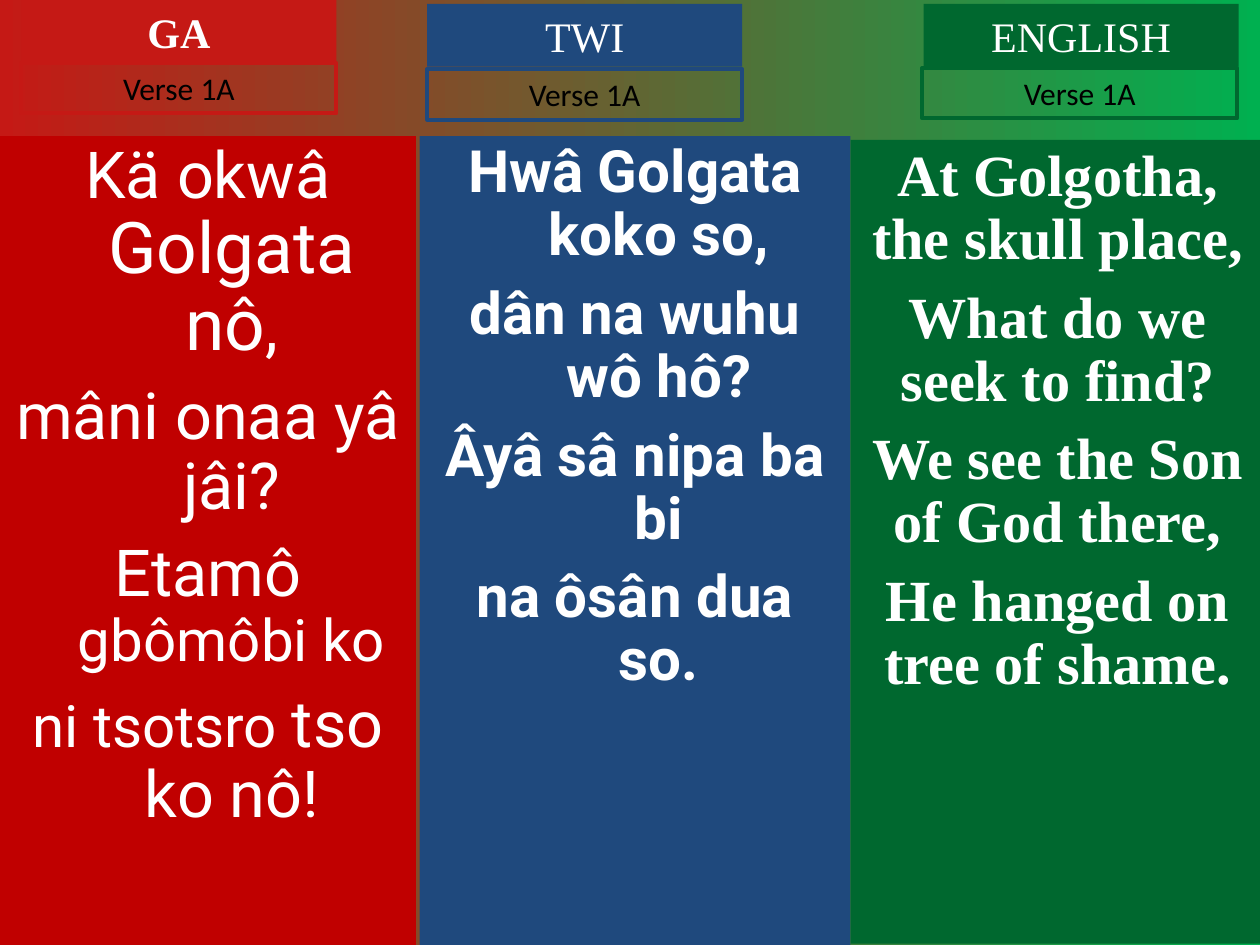
from pptx import Presentation
from pptx.dml.color import RGBColor as RGB
from pptx.enum.text import MSO_ANCHOR as Anchor, MSO_AUTO_SIZE as AutoSize, PP_ALIGN as Align
from pptx.oxml.ns import qn
from pptx.util import Inches, Pt
from lxml.etree import SubElement

COLORS = {"ga": "C00000", "ga_tag": "C51915", "twi": "1F497D", "english": "00682F",
          "sky": "00B050", "white": "FFFFFF", "black": "000000"}
HANGING = 0.38
HEADING = {"name": "Times New Roman", "size": Pt(24), "bold": False}
VERSE_TAG = {"name": "Calibri", "size": Pt(18), "bold": False}
GA_VERSE = {"name": "Roboto", "size": Pt(37), "bold": False}
TWI_VERSE = {"name": "Roboto", "size": Pt(33.3), "bold": True}
ENGLISH_VERSE = TWI_VERSE | {"name": "Times New Roman"}

GA_LINES = [
    [("Kä okwâ ", 37), ("Golgata nô", 40.7), (",", 37)],
    [("mâni onaa yâ jâi?", 37)],
    [("Etamô ", 37), ("gbômôbi ko", 33.3)],
    [("ni tsotsro ", 33.3), ("tso ko nô!", 37)],
]
TWI_LINES = ["Hwâ Golgata koko so,", "dân na wuhu wô hô?", "Âyâ sâ nipa ba bi", "na ôsân dua so."]
ENGLISH_LINES = ["At Golgotha, the skull place,", "What do we seek to find?",
                 "We see the Son of God there,", "He hanged on tree of shame."]


class HymnSlide:
    """Holds the slide and styles of a hymn verse in three languages."""

    def __init__(self, deck):
        self.slide = deck.slides.add_slide(deck.slide_layouts[4])
        self.holders = {holder.placeholder_format.idx: holder for holder in self.slide.placeholders}

    def background(self, start, end):
        fill = self.slide.background.fill
        fill.gradient()
        fill.gradient_angle = 0
        for stop, color in zip(fill.gradient_stops, (start, end)):
            stop.color.rgb = RGB.from_string(COLORS[color])

    def place(self, area, idx=None):
        lengths = [Inches(length) for length in area]
        if idx is None:
            return self.slide.shapes.add_textbox(*lengths)
        holder = self.holders[idx]
        for side, length in zip(("left", "top", "width", "height"), lengths):
            setattr(holder, side, length)
        return holder

    def set_lines(self, panel, lines, style, color, hanging=0, spacing=1.0, gaps=0):
        frame = panel.text_frame
        settings = {"word_wrap": True, "auto_size": AutoSize.NONE, "vertical_anchor": Anchor.TOP,
                    "margin_left": Inches(0.1), "margin_right": Inches(0.1),
                    "margin_top": Inches(0.05), "margin_bottom": Inches(0.05)}
        for name, value in settings.items():
            setattr(frame, name, value)
        for number, line in enumerate(lines):
            paragraph = frame.add_paragraph() if number else frame.paragraphs[0]
            properties = paragraph._p.get_or_add_pPr()
            properties.set("marL", str(Inches(hanging)))
            properties.set("indent", str(-Inches(hanging)))
            SubElement(properties, qn("a:buNone"))
            layout = {"alignment": Align.CENTER, "line_spacing": spacing,
                      "space_before": Pt(gaps if number else 0), "space_after": Pt(0)}
            for name, value in layout.items():
                setattr(paragraph, name, value)
            for words, size in [(line, None)] if isinstance(line, str) else line:
                run = paragraph.add_run()
                run.text = words
                for name, value in (style | ({"size": Pt(size)} if size else {})).items():
                    setattr(run.font, name, value)
                run.font.color.rgb = RGB.from_string(COLORS[color])

    def filled(self, panel, color):
        panel.fill.solid()
        panel.fill.fore_color.rgb = RGB.from_string(COLORS[color])
        return panel

    def heading(self, words, left, top, color, idx, bold=False):
        panel = self.filled(self.place((left, top, 2.5, 0.5), idx), color)
        self.set_lines(panel, [words], HEADING | {"bold": bold}, "white")

    def verse_tag(self, words, left, top, color):
        panel = self.place((left, top, 2.5, 0.4))
        panel.line.color.rgb = RGB.from_string(COLORS[color])
        panel.line.width = Pt(2.25)
        self.set_lines(panel, [words], VERSE_TAG, "black")

    def verse(self, lines, area, color, style, idx=None, hanging=0, gaps=9):
        panel = self.filled(self.place(area, idx), color)
        self.set_lines(panel, lines, style, "white", hanging, 0.9, gaps)


def main():
    deck = Presentation()
    deck.slide_width, deck.slide_height = Inches(10), Inches(7.5)
    hymn = HymnSlide(deck)
    hymn.background("ga_tag", "sky")
    hymn.verse(GA_LINES, (0, 1.08, 3.3, 6.42), "ga", GA_VERSE, 2, HANGING, 10)
    hymn.verse(TWI_LINES, (3.33, 1.08, 3.42, 6.42), "twi", TWI_VERSE, 4, HANGING)
    hymn.verse(ENGLISH_LINES, (6.75, 1.11, 3.29, 6.38), "english", ENGLISH_VERSE)
    hymn.heading("GA", 0.17, 0, "ga_tag", 0, bold=True)
    hymn.heading("TWI", 3.39, 0.03, "twi", 1)
    hymn.heading("ENGLISH", 7.33, 0.03, "english", 3)
    for left, top, color in [(0.17, 0.5, "ga_tag"), (3.39, 0.55, "twi"), (7.32, 0.54, "english")]:
        hymn.verse_tag("Verse 1A", left, top, color)
    deck.save("out.pptx")


if __name__ == "__main__":
    main()
